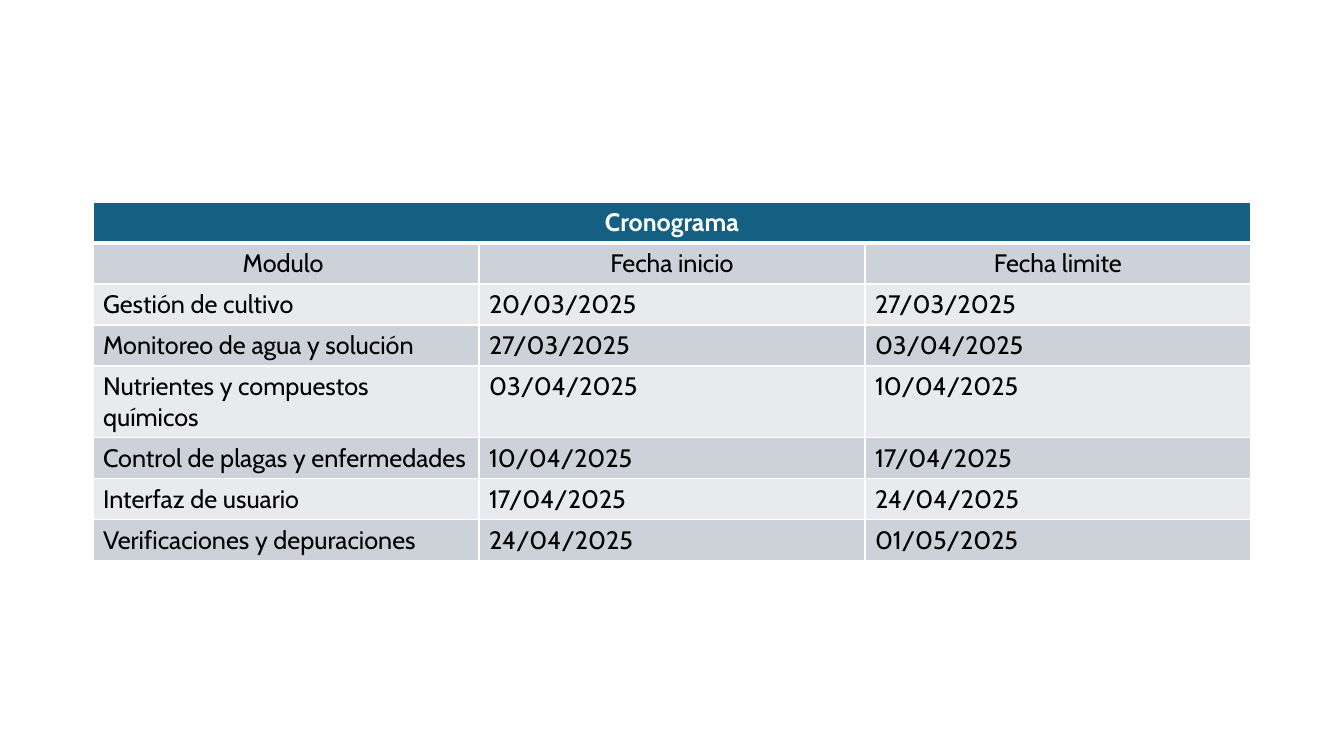
from dataclasses import dataclass

import pptx
import pptx.dml.color
import pptx.enum.text
import pptx.oxml.ns
import pptx.util
from lxml import etree

EMU_PER_PX = 914400 / 100.8
ALIGN = pptx.enum.text.PP_ALIGN
ANCHOR = pptx.enum.text.MSO_ANCHOR


@dataclass(frozen=True)
class Theme:
    font: str = "Cabin"
    size: int = 18
    ink: str = "000000"
    title_ink: str = "FFFFFF"
    title_fill: str = "156082"
    bands: tuple = ("CCD2D8", "E8EAED")
    rule: str = "FFFFFF"
    thin: int = 1
    thick: int = 3


THEME = Theme()
TITLE = "Cronograma"
HEADINGS = ("Modulo ", "Fecha inicio", "Fecha limite")
SCHEDULE = (
    ("Gestión de cultivo", "20/03/2025", "27/03/2025"),
    ("Monitoreo de agua y solución", "27/03/2025", "03/04/2025"),
    ("Nutrientes y compuestos químicos", "03/04/2025", "10/04/2025"),
    ("Control de plagas y enfermedades", "10/04/2025", "17/04/2025"),
    ("Interfaz de usuario", "17/04/2025", "24/04/2025"),
    ("Verificaciones y depuraciones", "24/04/2025", "01/05/2025"),
)


def px(length):
    return pptx.util.Emu(round(length * EMU_PER_PX))


def rgb(value):
    return pptx.dml.color.RGBColor.from_string(value)


def write(frame, text, *, color=THEME.ink, bold=False, align=ALIGN.LEFT):
    paragraph = frame.paragraphs[0]
    paragraph.alignment = align
    run = paragraph.add_run()
    run.text = text
    run.font.name = THEME.font
    run.font.size = pptx.util.Pt(THEME.size)
    run.font.bold = bold
    run.font.color.rgb = rgb(color)


class SlideBuilder:
    def __init__(self, deck, theme):
        self.theme = theme
        self.slide = deck.slides.add_slide(deck.slide_layouts[6])

    def borders(self, cell, **widths):
        """Draw the cell's edges; widths are points keyed by L, R, T and B."""
        qn = pptx.oxml.ns.qn
        properties = cell._tc.get_or_add_tcPr()
        for side in "LRTB":
            width = pptx.util.Pt(widths.get(side, self.theme.thin))
            edge = etree.SubElement(properties, qn(f"a:ln{side}"), w=str(int(width)))
            fill = etree.SubElement(edge, qn("a:solidFill"))
            etree.SubElement(fill, qn("a:srgbClr"), val=self.theme.rule)

    def paint(self, cell, color):
        cell.fill.solid()
        cell.fill.fore_color.rgb = rgb(color)

    def schedule(self, left, top, column_width, row_height):
        theme = self.theme
        body = (HEADINGS, *SCHEDULE)
        row_count, column_count = len(body) + 1, len(HEADINGS)
        table = self.slide.shapes.add_table(
            row_count, column_count, px(left), px(top),
            px(column_width * column_count), px(row_height * row_count)).table
        for column in table.columns:
            column.width = px(column_width)
        for row in table.rows:
            row.height = px(row_height)

        for column in range(column_count):
            title_cell = table.cell(0, column)
            self.borders(title_cell, B=theme.thick)
            self.paint(title_cell, theme.title_fill)
        title = table.cell(0, 0)
        title.merge(table.cell(0, column_count - 1))
        title.vertical_anchor = ANCHOR.MIDDLE
        write(title.text_frame, TITLE, color=theme.title_ink, bold=True,
              align=ALIGN.CENTER)

        for index, entries in enumerate(body):
            is_heading = index == 0
            for column, text in enumerate(entries):
                cell = table.cell(index + 1, column)
                self.borders(cell, T=theme.thick if is_heading else theme.thin)
                self.paint(cell, theme.bands[index % 2])
                cell.vertical_anchor = ANCHOR.MIDDLE if is_heading else ANCHOR.TOP
                write(cell.text_frame, text,
                      align=ALIGN.CENTER if is_heading else ALIGN.LEFT)


def main():
    deck = pptx.Presentation()
    deck.slide_width, deck.slide_height = px(1344), px(756)
    SlideBuilder(deck, THEME).schedule(left=93, top=202, column_width=386, row_height=41)
    deck.save("out.pptx")


if __name__ == "__main__":
    main()
